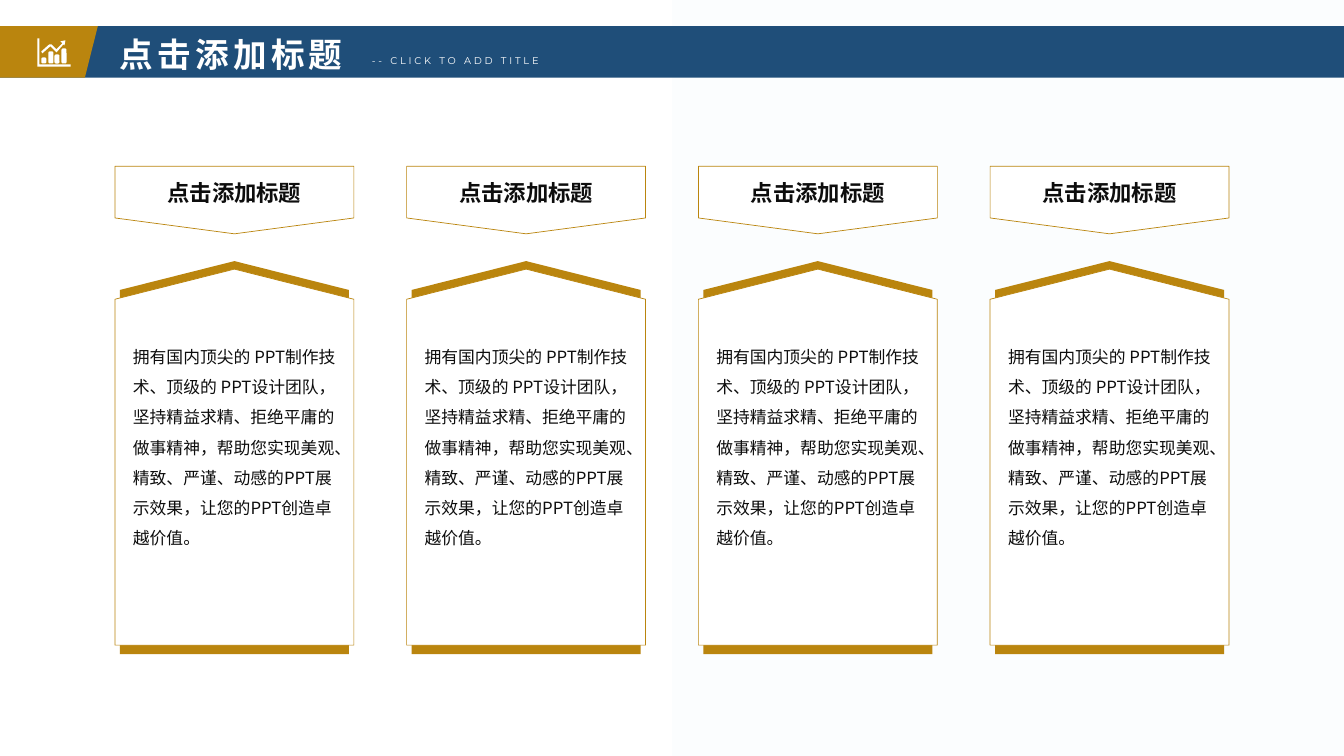
from pptx import Presentation
from pptx.dml.color import RGBColor
from pptx.enum.shapes import MSO_SHAPE
from pptx.enum.text import MSO_ANCHOR, MSO_AUTO_SIZE, PP_ALIGN
from pptx.util import Inches, Pt
from lxml import etree

PARALLELOGRAM = MSO_SHAPE.PARALLELOGRAM
PENTAGON = MSO_SHAPE.PENTAGON
ROUNDED = MSO_SHAPE.ROUNDED_RECTANGLE
LEFT, CENTER = PP_ALIGN.LEFT, PP_ALIGN.CENTER
TOP, MIDDLE = MSO_ANCHOR.TOP, MSO_ANCHOR.MIDDLE
NO_AUTOFIT = MSO_AUTO_SIZE.NONE

BLUE = RGBColor(0x1F, 0x4E, 0x79)
GOLD = RGBColor(0xBA, 0x85, 0x0E)
WHITE = RGBColor(0xFF, 0xFF, 0xFF)
PALE = RGBColor(0xFB, 0xFD, 0xFE)
INK = RGBColor(0x0D, 0x0D, 0x0D)
CHINESE, LATIN = "Noto Sans CJK SC", "Montserrat"
DRAWING_NS = "{http://schemas.openxmlformats.org/drawingml/2006/main}"

HEADING = "点击添加标题"
DESCRIPTION = (
    "拥有国内顶尖的 PPT制作技术、顶级的 PPT设计团队， 坚持精益求精、"
    "拒绝平庸的做事精神，帮助您实现美观、精致、严谨、动感的PPT展示效果，"
    "让您的PPT创造卓越价值。"
)


class SlideBuilder:
    def __init__(self, slide):
        self.slide = slide
        self.shapes = slide.shapes

    def background(self):
        fill = self.slide.background.fill
        fill.gradient()
        fill.gradient_angle = 0
        for stop, color in zip(fill.gradient_stops, (WHITE, PALE)):
            stop.color.rgb = color

    def paint(self, shape, fill, line=None):
        shape.shadow.inherit = False
        shape.fill.solid()
        shape.fill.fore_color.rgb = fill
        if line is None:
            shape.line.fill.background()
        else:
            shape.line.color.rgb = line
            shape.line.width = Pt(0.5)

    def preset(self, kind, x, y, w, h, fill, line=None, adjust=0.25):
        shape = self.shapes.add_shape(kind, Inches(x), Inches(y), Inches(w), Inches(h))
        shape.adjustments[0] = adjust
        self.paint(shape, fill, line)
        return shape

    def pentagon(self, x, y, w, h, turn, adjust, fill, line=None):
        """Vertical pentagon filling the upright box x, y, w, h."""
        shape = self.preset(PENTAGON, x + (w - h) / 2, y + (h - w) / 2, h, w,
                            fill, line, adjust)
        shape.rotation = turn

    def outline(self, points, fill):
        corners = [(Inches(x), Inches(y)) for x, y in points]
        builder = self.shapes.build_freeform(*corners[0])
        builder.add_line_segments(corners[1:], close=True)
        self.paint(builder.convert_to_shape(), fill)

    def set_text(self, box, text, size, color, font=CHINESE, bold=False,
                 align=LEFT, anchor=TOP, tracking=0, line_spacing=1.0, wrap=True):
        frame = box.text_frame
        frame.text = text
        frame.word_wrap = wrap
        frame.auto_size = NO_AUTOFIT
        frame.vertical_anchor = anchor
        paragraph = frame.paragraphs[0]
        paragraph.alignment = align
        paragraph.line_spacing = line_spacing
        run = paragraph.runs[0]
        run.font.size = Pt(size)
        run.font.bold = bold
        run.font.color.rgb = color
        run.font.name = font
        properties = run._r.get_or_add_rPr()
        etree.SubElement(properties, DRAWING_NS + "ea", typeface=font)
        if tracking:
            properties.set("spc", str(tracking * 100))

    def text(self, x, y, w, h, text, size, color, **style):
        box = self.shapes.add_textbox(Inches(x), Inches(y), Inches(w), Inches(h))
        self.set_text(box, text, size, color, **style)

    def title(self, x, y, w, h, text, size, color, **style):
        title = self.shapes.title
        title.left, title.top = Inches(x), Inches(y)
        title.width, title.height = Inches(w), Inches(h)
        self.set_text(title, text, size, color, **style)
        # Bring the title in front of the band
        self.shapes._spTree.append(title._element)


def main():
    prs = Presentation()
    prs.slide_width, prs.slide_height = Inches(13.33), Inches(7.5)
    page = SlideBuilder(prs.slides.add_slide(prs.slide_layouts[5]))
    page.background()

    # Title band
    page.preset(PARALLELOGRAM, -0.47, 0.26, 14.28, 0.51, BLUE)
    page.preset(PARALLELOGRAM, -0.4, 0.26, 1.37, 0.51, GOLD)
    page.title(1.09, 0.28, 2.93, 0.51, HEADING, 24, WHITE,
               bold=True, anchor=MIDDLE, tracking=3)
    page.text(3.59, 0.49, 2.59, 0.22, "-- CLICK TO ADD TITLE", 7, WHITE,
              font=LATIN, tracking=2)

    # Growth icon: axes, bars, rising arrow
    page.outline([(0.37, 0.38), (0.39, 0.38), (0.39, 0.64), (0.7, 0.64),
                  (0.7, 0.66), (0.37, 0.66)], WHITE)
    for bar_x, bar_top in ((0.41, 0.57), (0.48, 0.51), (0.54, 0.54), (0.61, 0.48)):
        page.preset(ROUNDED, bar_x, bar_top, 0.05, 0.63 - bar_top, WHITE, adjust=0.3)
    page.outline([(0.65, 0.4), (0.6, 0.41), (0.62, 0.43), (0.56, 0.49),
                  (0.51, 0.44), (0.49, 0.44), (0.41, 0.51), (0.42, 0.53),
                  (0.5, 0.46), (0.56, 0.52), (0.57, 0.51), (0.63, 0.44),
                  (0.64, 0.45)], WHITE)

    # Four equal columns
    count, first, last, width = 4, 1.14, 12.19, 2.37
    pitch = (last - first - width) / (count - 1)
    for column in range(count):
        x = first + column * pitch
        # Heading tag
        page.pentagon(x, 1.65, width, 0.67, 90, 0.235, WHITE, GOLD)
        page.text(x + 0.41, 1.73, 1.55, 0.37, HEADING, 16, INK,
                  bold=True, align=CENTER, wrap=False)
        # Description card on its gold backing
        page.pentagon(x + 0.05, 2.59, width - 0.1, 3.9, 270, 0.126, GOLD)
        page.pentagon(x, 2.67, width, 3.73, 270, 0.126, WHITE, GOLD)
        page.text(x + 0.08, 3.29, 2.27, 2.22, DESCRIPTION, 12, INK, line_spacing=1.5)

    prs.save("out.pptx")


if __name__ == "__main__":
    main()
